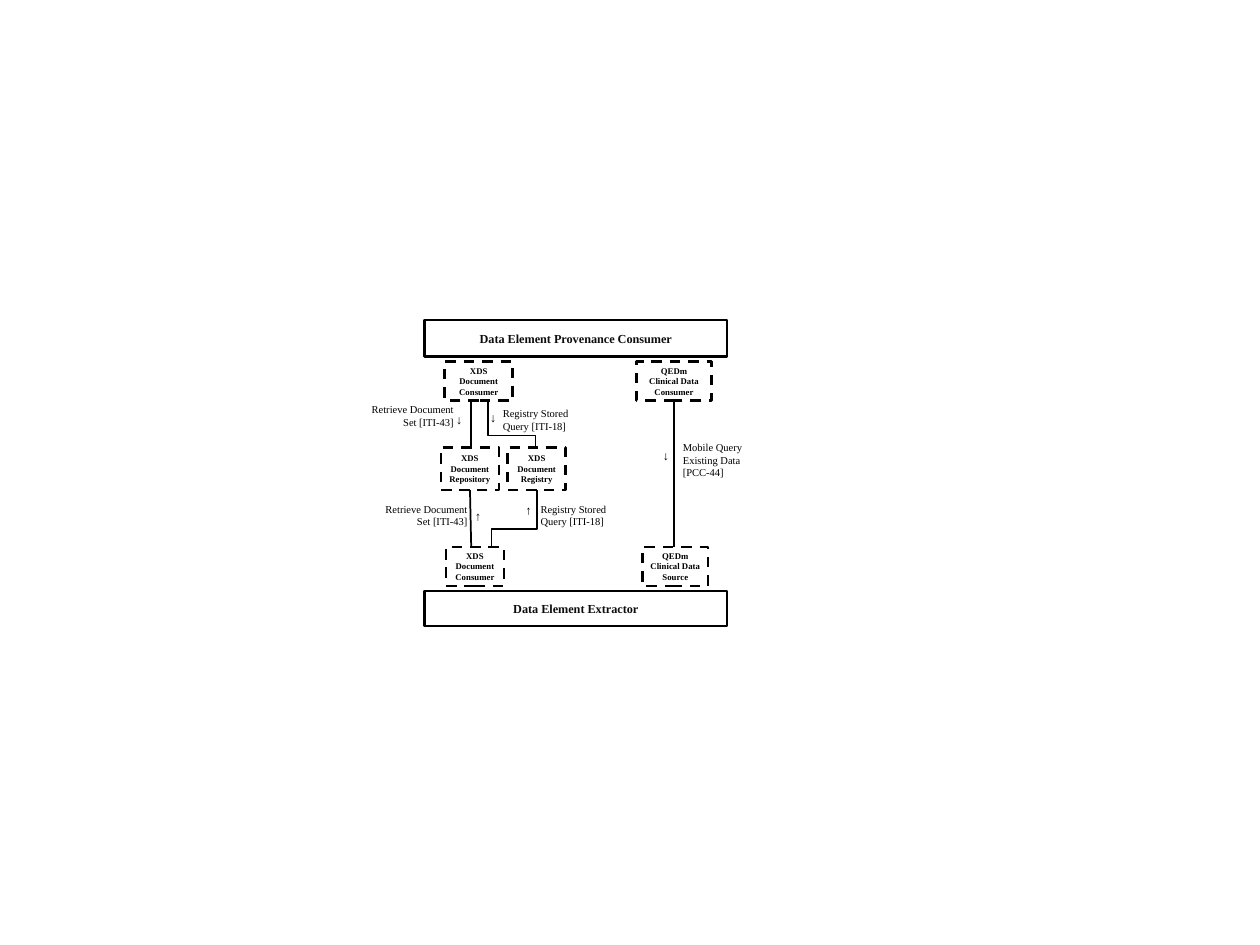
from lxml import etree
from pptx import Presentation
from pptx.dml.color import RGBColor
from pptx.enum.dml import MSO_LINE
from pptx.enum.shapes import MSO_CONNECTOR, MSO_SHAPE
from pptx.enum.text import MSO_ANCHOR, PP_ALIGN
from pptx.oxml.ns import qn
from pptx.util import Inches, Pt

DASH = MSO_LINE.DASH
RECT = MSO_SHAPE.RECTANGLE
STRAIGHT, ELBOW = MSO_CONNECTOR.STRAIGHT, MSO_CONNECTOR.ELBOW
TOP, MIDDLE = MSO_ANCHOR.TOP, MSO_ANCHOR.MIDDLE
LEFT, CENTER, RIGHT = PP_ALIGN.LEFT, PP_ALIGN.CENTER, PP_ALIGN.RIGHT


def color(value):
    return RGBColor.from_string(value)


def unit(n):
    """Length of n cells on a grid of 1000 columns by 750 rows."""
    return Inches(n / 100)


def write(tf, text, size=6, bold=False, ink="000000", align=LEFT,
          anchor=TOP, inset=(0, 3)):
    """Write each line of text as a paragraph; inset is (side, top)."""
    tf.word_wrap = True
    tf.vertical_anchor = anchor
    tf.margin_left = tf.margin_right = unit(inset[0])
    tf.margin_top = tf.margin_bottom = unit(inset[1])
    for i, line in enumerate(text.split("\n")):
        p = tf.paragraphs[0] if i == 0 else tf.add_paragraph()
        p.alignment = align
        r = p.add_run()
        r.text = line
        r.font.name = Diagram.FONT
        r.font.size = Pt(size)
        r.font.bold = bold
        r.font.color.rgb = color(ink)


class Diagram:
    FONT = "Times New Roman"
    INK = "000000"

    def __init__(self, prs):
        self.s = prs.slides.add_slide(prs.slide_layouts[6])

    def box(self, at, text, dash=None, fill=None, **style):
        sp = self.s.shapes.add_shape(RECT, *map(unit, at))
        sp.shadow.inherit = False
        if fill:
            sp.fill.solid()
            sp.fill.fore_color.rgb = color(fill)
        else:
            sp.fill.background()
        sp.line.color.rgb = color(self.INK)
        sp.line.width = Pt(1.5)
        if dash:
            sp.line.dash_style = dash
        write(sp.text_frame, text, bold=True, align=CENTER, **style)

    def actor(self, at, text, anchor=TOP):
        self.box(at, text, dash=DASH, size=5, anchor=anchor, inset=(2, 3))

    def label(self, at, text, rotation=0, **style):
        sp = self.s.shapes.add_textbox(*map(unit, at))
        sp.rotation = rotation
        write(sp.text_frame, text, **style)

    def arrow(self, at, up=False, **style):
        self.label(at, "↓", rotation=180 if up else 0, size=7,
                   inset=(0, 0), **style)

    def line(self, x1, y1, x2, y2, kind=STRAIGHT):
        c = self.s.shapes.add_connector(kind, *map(unit, (x1, y1, x2, y2)))
        c.line.color.rgb = color(self.INK)
        c.line.width = Pt(1)
        etree.SubElement(c._element.spPr, qn("a:effectLst"))
        return c

    def elbow(self, x1, y1, x2, y2, bend):
        """Run down, across and down again; bend is the share of the drop."""
        cx, cy = (x1 + x2) / 2, (y1 + y2) / 2
        w, h = (y2 - y1) / 2, abs(x2 - x1) / 2
        side = 1 if x2 > x1 else -1
        c = self.line(cx + side * w, cy - h, cx - side * w, cy + h, ELBOW)
        sp_pr = c._element.spPr
        turn = 270 if side > 0 else 90
        sp_pr.find(qn("a:xfrm")).set("rot", str(turn * 60000))
        guides = sp_pr.find(qn("a:prstGeom")).find(qn("a:avLst"))
        etree.SubElement(guides, qn("a:gd"), name="adj1",
                         fmla=f"val {round(bend * 100000)}")


prs = Presentation()
prs.slide_width, prs.slide_height = unit(1000), unit(750)
d = Diagram(prs)

# Links between the actors
for ends in ((374, 318, 374, 355), (535, 317, 535, 434), (373, 389, 374, 434)):
    d.line(*ends)
d.elbow(387, 318, 425, 355, bend=0.75)
d.elbow(426, 389, 390, 434, bend=0.68)

# Main systems
for top, height, name, fill in (
        (254, 29, "Data Element Provenance Consumer", "FFFFFF"),
        (469, 28, "Data Element Extractor", None)):
    d.box((337, top, 240, height), name, fill=fill, size=7, ink="0D0D0D",
          anchor=MIDDLE, inset=(0, 0))

# Grouped actors
for at, text in (
        ((353, 287, 54, 31), "XDS\nDocument\nConsumer"),
        ((505, 287, 60, 31), "QEDm\nClinical Data\nConsumer"),
        ((354, 434, 46, 31), "XDS\nDocument\nConsumer"),
        ((510, 434, 52, 31), "QEDm\nClinical Data\nSource")):
    d.actor(at, text)
for left, name in ((350, "Repository"), (403, "Registry")):
    d.actor((left, 355, 46, 34), f"XDS\nDocument\n{name}", anchor=MIDDLE)

# Transaction labels
RETRIEVE = "Retrieve Document\nSet [ITI-43]"
QUERY = "Registry Stored\nQuery [ITI-18]"
for at, text, align in (
        ((292, 317, 68, 32), RETRIEVE, RIGHT),
        ((399, 320, 62, 31), QUERY, LEFT),
        ((305, 396, 66, 32), RETRIEVE, RIGHT),
        ((429, 396, 55, 32), QUERY, LEFT)):
    d.label(at, text, align=align)
d.label((536, 347, 71, 35), "Mobile Query\nExisting Data\n[PCC-44]",
        inset=(6, 3))

# Direction arrows
d.arrow((362, 326, 11, 14), anchor=MIDDLE)
d.arrow((389, 326, 11, 24))
d.arrow((523, 356, 11, 22), align=CENTER)
for at in ((415, 398, 9, 19), (372, 402, 15, 21)):
    d.arrow(at, up=True, align=CENTER, anchor=MIDDLE)

prs.save("out.pptx")
